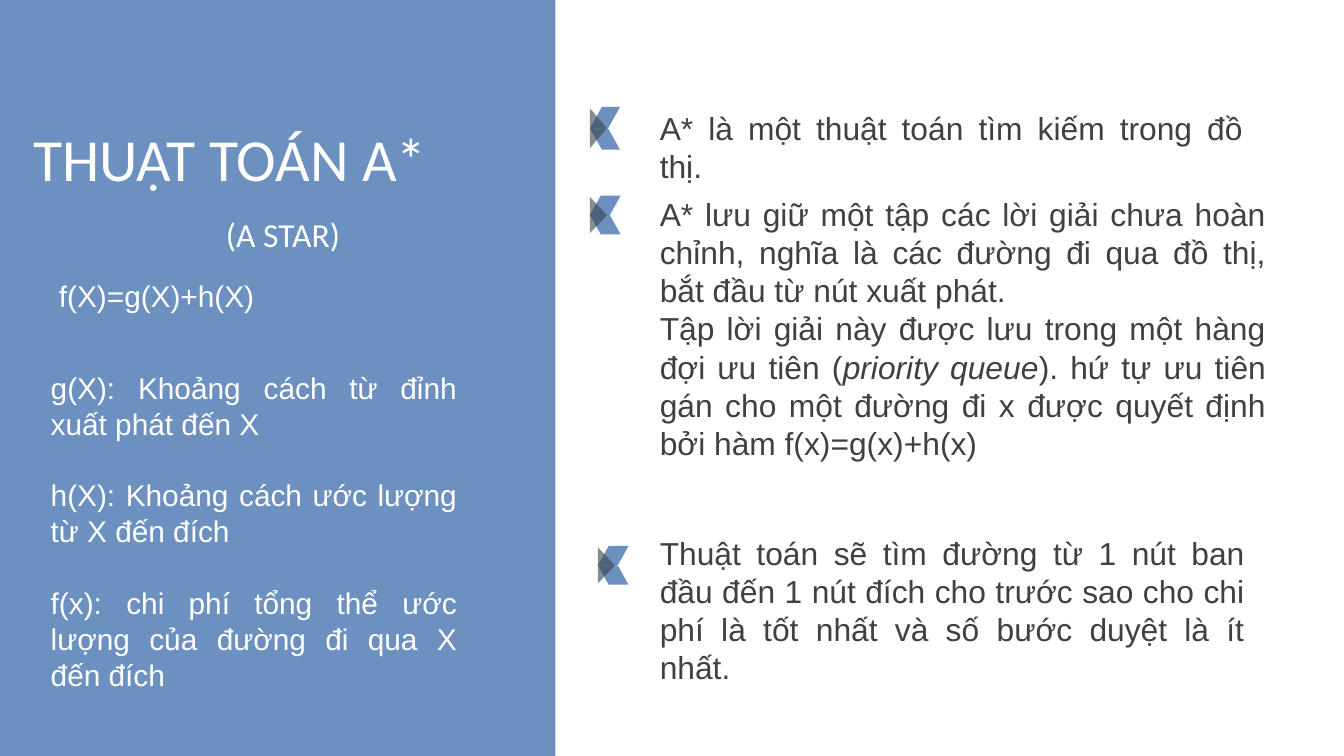
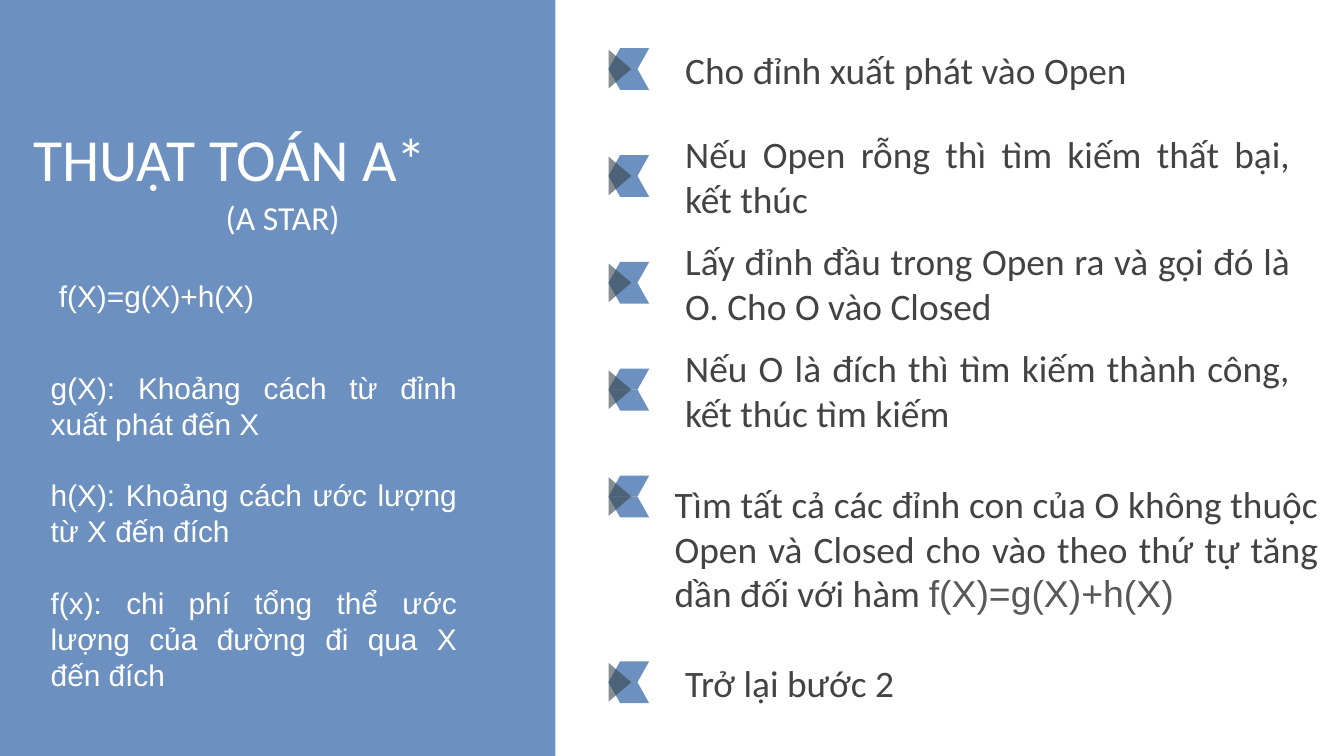
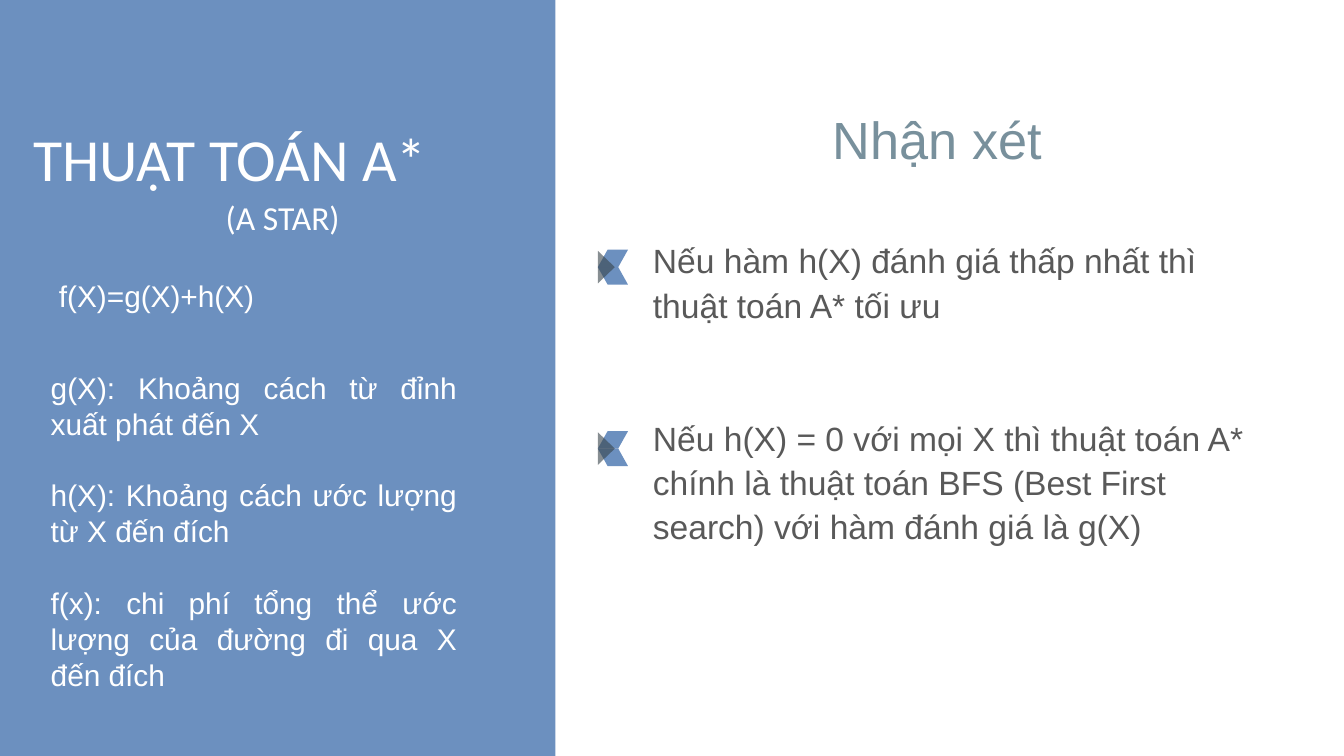
import pptx
import pptx.util
import pptx.dml.color
import pptx.enum.shapes
import pptx.enum.text
import pptx.oxml

Cm = pptx.util.Cm
Pt = pptx.util.Pt
RGB = pptx.dml.color.RGBColor
KIND = pptx.enum.shapes.MSO_SHAPE
ALIGN = pptx.enum.text.PP_ALIGN
ANCHOR = pptx.enum.text.MSO_ANCHOR
FIT = pptx.enum.text.MSO_AUTO_SIZE

BLUE = RGB(0x5E, 0x85, 0xB9)
SLATE = RGB(0x38, 0x44, 0x4A)
WHITE = RGB(0xFF, 0xFF, 0xFF)
DARK = RGB(0x40, 0x40, 0x40)
INK = RGB(0x43, 0x43, 0x43)
GRAY = RGB(0x59, 0x59, 0x59)
STEEL = RGB(0x78, 0x90, 0x9C)

WIDE, HIGH, PANEL = 25.4, 14.29, 10.5
PAD = 0.25

TITLE = "THUẬT TOÁN A*"
SUB = "(A STAR)"
COST = " f(X)=g(X)+h(X)"
TERMS = [
    "g(X): Khoảng cách từ đỉnh xuất phát đến X",
    "h(X): Khoảng cách ước lượng từ X đến đích",
    "f(x): chi phí tổng thể ước lượng của đường đi qua X đến đích",
]
HIGH_SUB = (3.15, 3.35, 4.39, 0.81)
LOW_SUB = (1.07, 3.68, 8.56, 1.35)

FACTS = [
    ((12.22, 1.93, 11.53, 0.99), (11.15, 2.02, 0.57, 0.81),
     ["A* là một thuật toán tìm kiếm trong đồ thị."]),
    ((12.22, 3.56, 11.96, 5.33), (11.15, 3.7, 0.58, 0.73),
     ["A* lưu giữ một tập các lời giải chưa hoàn chỉnh, nghĩa là các đường đi "
      "qua đồ thị, bắt đầu từ nút xuất phát.",
      ["Tập lời giải này được lưu trong một hàng đợi ưu tiên (",
       ("priority queue", {"italic": True}),
       "). hứ tự ưu tiên gán cho một đường đi x được quyết định bởi hàm "
       "f(x)=g(x)+h(x)"]]),
    ((12.22, 9.96, 11.56, 2.44), (11.3, 10.32, 0.58, 0.73),
     ["Thuật toán sẽ tìm đường từ 1 nút ban đầu đến 1 nút đích cho trước sao "
      "cho chi phí là tốt nhất và số bước duyệt là ít nhất."]),
]

STEPS = [
    "Cho đỉnh xuất phát vào Open",
    "Nếu Open rỗng thì tìm kiếm thất bại, kết thúc",
    "Lấy đỉnh đầu trong Open ra và gọi đó là O. Cho O vào Closed",
    "Nếu O là đích thì tìm kiếm thành công, kết thúc tìm kiếm",
    ["Tìm tất cả các đỉnh con của O không thuộc Open và Closed cho vào theo "
     "thứ tự tăng dần đối với hàm ",
     ("f(X)=g(X)+h(X)", {"name": "Arial", "color": GRAY})],
    "Trở lại bước 2",
]
STEP_TOP, STEP_GAP, LAST_TOP = 0.91, 2.02, 12.5
LONG_STEP, LONG_BOX = 4, (12.5, 8.48, 12.67, 3.76)

HEAD = "Nhận xét"
NOTES = [
    "Nếu hàm h(X) đánh giá thấp nhất thì thuật toán A* tối ưu",
    "Nếu h(X) = 0 với mọi X thì thuật toán A* chính là thuật toán BFS "
    "(Best First search) với hàm đánh giá là g(X)",
]
NOTE_TOPS = (4.72, 8.15)


def style(run, size, color, name, italic=False):
    run.font.size = Pt(size)
    run.font.name = name
    run.font.italic = italic
    run.font.color.rgb = color


def write(slide, box, paras, size, color, name="Arial", align=ALIGN.JUSTIFY,
          line=None, gap=0, after=0, anchor=ANCHOR.TOP, grow=True):
    frame = slide.shapes.add_textbox(*map(Cm, box)).text_frame
    frame.word_wrap = True
    frame.vertical_anchor = anchor
    frame.auto_size = FIT.SHAPE_TO_FIT_TEXT if grow else FIT.NONE
    if not grow:
        frame.margin_left = frame.margin_right = Cm(PAD)
        frame.margin_top = frame.margin_bottom = Cm(PAD)
    for i, runs in enumerate(paras):
        para = frame.add_paragraph() if i else frame.paragraphs[0]
        para.alignment = align
        para.space_before = Pt(gap if i else 0)
        para.space_after = Pt(after)
        if line:
            para.line_spacing = line
        for part in [runs] if isinstance(runs, str) else runs:
            text, extra = (part, {}) if isinstance(part, str) else part
            run = para.add_run()
            run.text = text
            style(run, **{"size": size, "color": color, "name": name, **extra})


def draw(shapes, kind, box, color, alpha):
    shape = shapes.add_shape(kind, *map(Cm, box))
    shape.shadow.inherit = False
    shape.fill.solid()
    shape.fill.fore_color.rgb = color
    shape.line.fill.background()
    tint = shape.element.find(".//" + pptx.oxml.ns.qn("a:srgbClr"))
    fade = tint.makeelement(pptx.oxml.ns.qn("a:alpha"), {"val": str(alpha * 1000)})
    tint.append(fade)
    return shape


def mark(slide, x, y, w, h):
    shapes = slide.shapes.add_group_shape().shapes
    for row in range(2):
        wing = draw(shapes, KIND.PARALLELOGRAM,
                    (x, y + row * h / 2, w, h / 2), BLUE, 91)
        wing.adjustments[0] = 0.56
        if row:
            wing.element.spPr.find(pptx.oxml.ns.qn("a:xfrm")).set("flipH", "1")
    long, deep = 0.93 * h, 0.56 * w
    tip = draw(shapes, KIND.ISOSCELES_TRIANGLE,
               (x + (deep - long) / 2, y + (h - deep) / 2, long, deep), SLATE, 60)
    tip.rotation = 90


def start(deck, sub):
    slide = deck.slides.add_slide(deck.slide_layouts[6])
    draw(slide.shapes, KIND.RECTANGLE, (0, 0, PANEL, HIGH), BLUE, 91)
    write(slide, (0.38, 2, 9.93, 1.96), [TITLE], 32, WHITE, "Calibri",
          ALIGN.LEFT, anchor=ANCHOR.MIDDLE, grow=False)
    write(slide, sub, [SUB], 18, WHITE, "Calibri", ALIGN.CENTER,
          line=1.15, after=16, grow=False)
    write(slide, (0.71, 5.13, 5.66, 0.94), [COST], 16, WHITE, align=ALIGN.LEFT)
    write(slide, (0.71, 6.86, 8.18, 6.4), TERMS, 16, WHITE, gap=19.3)
    return slide


def facts(deck):
    slide = start(deck, LOW_SUB)
    for box, icon, paras in FACTS:
        write(slide, box, paras, 17, DARK)
        mark(slide, *icon)


def steps(deck):
    slide = start(deck, HIGH_SUB)
    for i, text in enumerate(STEPS):
        last = i == len(STEPS) - 1
        top = LAST_TOP if last else STEP_TOP + i * STEP_GAP
        mark(slide, 11.5, top, 0.77, 0.79)
        box = LONG_BOX if i == LONG_STEP else (12.7, top - PAD, 11.94, 1.3)
        write(slide, box, [text], 20, INK, "Calibri",
              anchor=ANCHOR.MIDDLE, grow=False)


def notes(deck):
    slide = start(deck, HIGH_SUB)
    write(slide, (15.49, 1.9, 5.03, 1.45), [HEAD], 28, STEEL, align=ALIGN.LEFT)
    write(slide, (12.09, 4.34, 12.29, 6.17), NOTES, 18, GRAY,
          align=ALIGN.LEFT, line=1.1, gap=47.5)
    for top in NOTE_TOPS:
        mark(slide, 11.3, top, 0.57, 0.66)


def main():
    deck = pptx.Presentation()
    deck.slide_width, deck.slide_height = Cm(WIDE), Cm(HIGH)
    for build in (facts, steps, notes):
        build(deck)
    deck.save("out.pptx")


if __name__ == "__main__":
    main()
